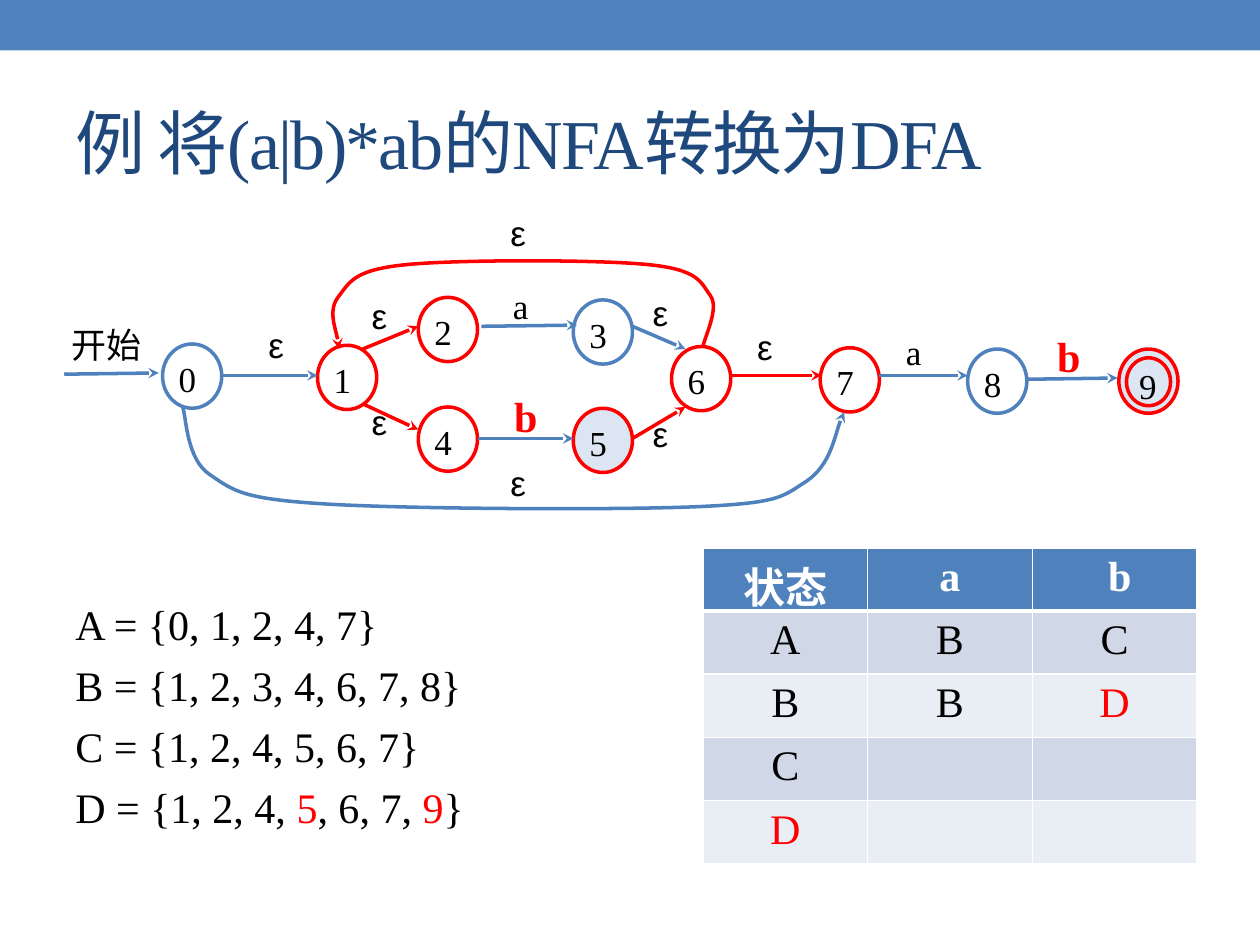
from lxml import etree
from pptx import Presentation
from pptx.dml.color import RGBColor
from pptx.enum.shapes import MSO_CONNECTOR, MSO_SHAPE
from pptx.enum.text import MSO_ANCHOR, PP_ALIGN
from pptx.oxml.ns import qn
from pptx.util import Cm, Pt

STRAIGHT = MSO_CONNECTOR.STRAIGHT
OVAL, RECTANGLE = MSO_SHAPE.OVAL, MSO_SHAPE.RECTANGLE
MIDDLE, TOP = MSO_ANCHOR.MIDDLE, MSO_ANCHOR.TOP
LEFT, CENTER, JUSTIFY = PP_ALIGN.LEFT, PP_ALIGN.CENTER, PP_ALIGN.JUSTIFY

COLORS = {"blue": "4F81BD", "navy": "1F497D", "red": "FF0000", "black": "000000",
          "white": "FFFFFF", "pale": "DCE6F2", "band": "D0D8E8", "light": "E9EDF4"}
SERIF, SANS = "Times New Roman", "Arial"
PLAIN = {"name": SERIF, "size": Pt(20), "bold": False}
LARGE = {"name": SERIF, "size": Pt(24), "bold": False}
STRONG = {"name": SERIF, "size": Pt(24), "bold": True}
GREEK = {"name": SANS, "size": Pt(20), "bold": False}

TITLE = "例 将(a|b)*ab的NFA转换为DFA"
SETS = [
    [("A = {0, 1, 2, 4, 7}", "black")],
    [("B = {1, 2, 3, 4, 6, 7, 8}", "black")],
    [("C = {1, 2, 4, 5, 6, 7}", "black")],
    [("D = {1, 2, 4, ", "black"), ("5", "red"), (", 6, 7, ", "black"), ("9", "red"), ("}", "black")],
]
TRANSITIONS = [["状态", "a", " b"], ["A", "B", "C"], ["B", "B", "D"], ["C", "", ""], ["D", "", ""]]
ROW_HEIGHTS = [0.5, 0.5, 0.5, 0.4, 0.4]
NEW_STATE = "D"

STATE_SIZE = (0.47, 0.51)
STATES = [
    ("0", 1.29, 2.73, "blue", None), ("1", 2.52, 2.74, "red", None),
    ("2", 3.32, 2.36, "red", None), ("3", 4.55, 2.38, "blue", None),
    ("4", 3.32, 3.23, "red", None), ("5", 4.55, 3.24, "red", "pale"),
    ("6", 5.33, 2.75, "red", None), ("7", 6.51, 2.76, "red", None),
    ("8", 7.68, 2.77, "blue", None), ("", 8.88, 2.77, "red", "pale"),
]
ARROWS = [
    (0.51, 2.97, 1.26, 2.96, "blue"), (1.76, 2.98, 2.52, 2.98, "blue"),
    (2.88, 2.77, 3.32, 2.59, "red"), (2.89, 3.21, 3.32, 3.41, "red"),
    (3.82, 2.59, 4.58, 2.58, "blue"), (3.79, 3.48, 4.55, 3.48, "blue"),
    (5.02, 2.59, 5.44, 2.77, "blue"), (5.02, 3.48, 5.44, 3.23, "red"),
    (5.8, 2.98, 6.52, 2.98, "red"), (6.98, 2.98, 7.68, 2.98, "blue"),
    (8.15, 3.01, 8.87, 3, "blue"),
]
CURVES = [
    ("blue", [(1.45, 3.23), (1.48, 3.32), (1.48, 3.65), (1.67, 3.77), (1.86, 3.9), (1.93, 3.96),
              (2.58, 4), (3.23, 4.04), (4.93, 4.05), (5.57, 4.02), (6.2, 3.99), (6.21, 3.94),
              (6.4, 3.82), (6.59, 3.69), (6.64, 3.38), (6.7, 3.27)]),
    ("red", [(5.58, 2.75), (5.59, 2.68), (5.71, 2.45), (5.64, 2.35), (5.56, 2.24), (5.55, 2.14),
             (5.14, 2.1), (4.74, 2.06), (3.64, 2.06), (3.23, 2.1), (2.82, 2.14), (2.78, 2.23),
             (2.69, 2.35), (2.6, 2.46), (2.69, 2.68), (2.69, 2.77)]),
]
LABELS = [
    ("开始", 0.51, 2.54, 0.76, 0.49, PLAIN, "black"),
    ("a", 4.01, 2.23, 0.38, 0.41, PLAIN, "black"),
    ("a", 7.13, 2.59, 0.38, 0.41, PLAIN, "black"),
    ("b", 4.02, 3.07, 0.38, 0.41, STRONG, "red"),
    ("b", 8.33, 2.59, 0.43, 0.43, STRONG, "red"),
]
EPSILONS = [
    (2.07, 2.54, 0.42, 0.42), (2.89, 2.31, 0.36, 0.39), (2.89, 3.15, 0.38, 0.41),
    (5.12, 2.28, 0.42, 0.42), (5.12, 3.24, 0.42, 0.41), (5.95, 2.55, 0.42, 0.32),
    (3.99, 1.65, 0.42, 0.41), (3.99, 3.63, 0.42, 0.42),
]
LABELS += [("ε", *place, GREEK, "black") for place in EPSILONS]


def inches(*values):
    return [Cm(value * 2.54) for value in values]


def rgb(color):
    return RGBColor.from_string(COLORS[color])


def set_all(target, values):
    for name, value in values.items():
        setattr(target, name, value)


def add_span(para, text, style, color):
    span = para.add_run()
    span.text = text
    set_all(span.font, style)
    span.font.color.rgb = rgb(color)
    return span


def set_frame(frame, margins, anchor=TOP):
    sides = ("margin_left", "margin_top", "margin_right", "margin_bottom")
    set_all(frame, {"word_wrap": True, "vertical_anchor": anchor, **dict(zip(sides, inches(*margins)))})


def paint(shape, fill, line):
    shape.shadow.inherit = False
    if fill:
        shape.fill.solid()
        shape.fill.fore_color.rgb = rgb(fill)
    else:
        shape.fill.background()
    if line:
        shape.line.color.rgb = rgb(line)
        shape.line.width = Pt(2)
    else:
        shape.line.fill.background()


def add_arrowhead(shape):
    etree.SubElement(shape.line._get_or_add_ln(), qn("a:tailEnd"), type="stealth")


def add_state(page, name, place, line, fill, margins, align):
    state = page.shapes.add_shape(OVAL, *inches(*place))
    paint(state, fill, line)
    set_frame(state.text_frame, margins)
    if name:
        para = state.text_frame.paragraphs[0]
        para.alignment = align
        add_span(para, name, PLAIN, "black")


def add_arrow(page, ends, color):
    arrow = page.shapes.add_connector(STRAIGHT, *inches(*ends))
    arrow.line.color.rgb = rgb(color)
    arrow.line.width = Pt(2)
    add_arrowhead(arrow)
    etree.SubElement(arrow._element.spPr, qn("a:effectLst"))


def add_curve(page, color, points):
    corners = [inches(*point) for point in points]
    builder = page.shapes.build_freeform(*corners[0])
    builder.add_line_segments(corners[1:], close=False)
    curve = builder.convert_to_shape()
    paint(curve, None, color)
    add_arrowhead(curve)
    segments = list(curve._element.iter(qn("a:lnTo")))
    outline = segments[0].getparent()
    for start in range(0, len(segments), 3):
        bend = etree.SubElement(outline, qn("a:cubicBezTo"))
        for segment in segments[start:start + 3]:
            bend.append(segment[0])
            outline.remove(segment)


def add_label(page, text, left, top, width, height, style, color):
    box = page.shapes.add_textbox(*inches(left, top, width, height))
    set_frame(box.text_frame, (0.06, 0.03, 0.06, 0.03))
    para = box.text_frame.paragraphs[0]
    para.alignment = JUSTIFY
    add_span(para, text, style, color)


def set_borders(cell, bottom):
    properties = cell._tc.get_or_add_tcPr()
    for index, (side, width) in enumerate([("lnL", 1), ("lnR", 1), ("lnT", 1), ("lnB", bottom)]):
        border = etree.Element(qn("a:" + side), w=str(Pt(width)))
        fill = etree.SubElement(border, qn("a:solidFill"))
        etree.SubElement(fill, qn("a:srgbClr"), val=COLORS["white"])
        properties.insert(index, border)


def add_transition_table(page):
    size = len(TRANSITIONS), len(TRANSITIONS[0])
    table = page.shapes.add_table(*size, *inches(5.58, 4.35, 3.92, sum(ROW_HEIGHTS))).table
    for row, (values, height) in enumerate(zip(TRANSITIONS, ROW_HEIGHTS)):
        table.rows[row].height = inches(height)[0]
        header = row == 0
        for column, text in enumerate(values):
            cell = table.cell(row, column)
            cell.fill.solid()
            cell.fill.fore_color.rgb = rgb("blue" if header else "band" if row % 2 else "light")
            set_borders(cell, 3 if header else 1)
            if text:
                color = "white" if header else "red" if text == NEW_STATE else "black"
                para = cell.text_frame.paragraphs[0]
                para.alignment = CENTER
                add_span(para, text, STRONG if header else LARGE, color)


def main():
    deck = Presentation()
    deck.slide_width, deck.slide_height = inches(10, 7.5)
    page = deck.slides.add_slide(deck.slide_layouts[5])

    paint(page.shapes.add_shape(RECTANGLE, *inches(0, 0, 10, 0.4)), "blue", None)

    title = page.shapes.title
    set_all(title, dict(zip(("left", "top", "width", "height"), inches(0.5, 0.58, 9, 1.08))))
    set_frame(title.text_frame, (0.1, 0.05, 0.1, 0.05), MIDDLE)
    para = title.text_frame.paragraphs[0]
    para.alignment = LEFT
    span = add_span(para, TITLE, {"name": SERIF, "size": Pt(40)}, "navy")
    span.font._element.set("spc", "-100")

    box = page.shapes.add_textbox(*inches(0.5, 4.7, 9, 2.38))
    set_frame(box.text_frame, (0.1, 0.05, 0.1, 0.05))
    for index, spans in enumerate(SETS):
        para = box.text_frame.add_paragraph() if index else box.text_frame.paragraphs[0]
        para.space_before = Pt(6)
        for text, color in spans:
            add_span(para, text, LARGE, color)

    add_transition_table(page)
    for name, left, top, line, fill in STATES:
        add_state(page, name, (left, top, *STATE_SIZE), line, fill, (0.06, 0.03, 0.02, 0.05), LEFT)
    add_state(page, "9", (8.94, 2.84, 0.35, 0.38), "red", "pale", (0.05, 0, 0.01, 0), JUSTIFY)
    for *ends, color in ARROWS:
        add_arrow(page, ends, color)
    for color, points in CURVES:
        add_curve(page, color, points)
    for label in LABELS:
        add_label(page, *label)

    deck.save("out.pptx")


if __name__ == "__main__":
    main()
